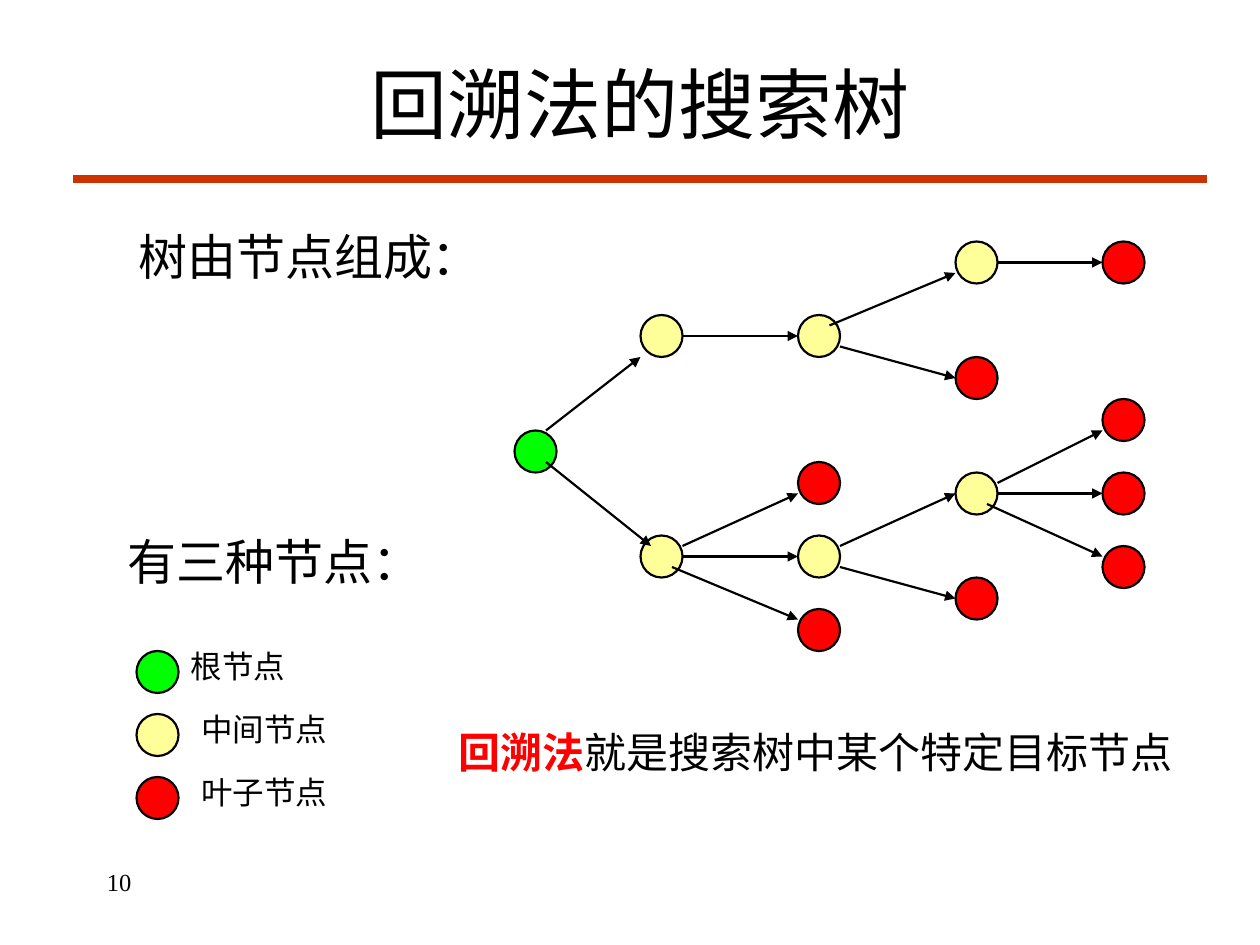
import pptx
import pptx.util
import pptx.dml.color
import pptx.enum.shapes
import pptx.enum.text
import pptx.oxml.ns
import lxml.etree

Cm, Pt = pptx.util.Cm, pptx.util.Pt
FONT = "Times New Roman"
COLORS = {"text": "000000", "rule": "CC3300", "root": "00FF00",
          "middle": "FFFF99", "leaf": "FF0000"}
GRID = 2.54 / 12
NODE_SIZE = 4
NODES = {
    "root": [(49, 41)],
    "middle": [(61, 30), (76, 30), (91, 23), (61, 51), (76, 51), (91, 45)],
    "leaf": [(105, 23), (91, 34), (76, 44), (76, 58), (91, 55),
             (105, 38), (105, 45), (105, 52)],
}
ARROWS = [
    (52, 44, 62, 52), (52, 41, 61, 34), (65, 32, 76, 32), (79, 31, 91, 26),
    (80, 33, 91, 36), (95, 25, 105, 25), (65, 52, 76, 47), (65, 53, 76, 53),
    (64, 54, 76, 59), (80, 52, 91, 47), (80, 54, 91, 57), (95, 46, 105, 41),
    (95, 47, 105, 47), (94, 48, 105, 53),
]
LEGEND = [("root", "根节点", 17, 49), ("middle", "中间节点", 18, 50),
          ("leaf", "叶子节点", 18, 31)]


def rgb(name):
    return pptx.dml.color.RGBColor.from_string(COLORS[name])


def units(*values):
    return [Cm(v * GRID) for v in values]


def style_font(font, size, color="text"):
    font.name = FONT
    font.size = Pt(size)
    font.color.rgb = rgb(color)


def add_title(s, text):
    title = s.shapes.title
    title.left, title.top, title.width, title.height = Cm(2.12), Cm(0.48), Cm(21.59), Cm(3.18)
    tf = title.text_frame
    tf.text = text
    tf.vertical_anchor = pptx.enum.text.MSO_ANCHOR.MIDDLE
    p = tf.paragraphs[0]
    p.alignment = pptx.enum.text.PP_ALIGN.CENTER
    style_font(p.font, 44)


def add_text(shapes, box, text, size):
    tf = shapes.add_textbox(*box).text_frame
    tf.word_wrap = True
    p = tf.paragraphs[0]
    p.add_run().text = text
    style_font(p.font, size)
    return p


def add_node(shapes, kind, x, y):
    sp = shapes.add_shape(pptx.enum.shapes.MSO_SHAPE.OVAL,
                          *units(x, y, NODE_SIZE, NODE_SIZE))
    sp.shadow.inherit = False
    sp.fill.solid()
    sp.fill.fore_color.rgb = rgb(kind)
    sp.line.color.rgb = rgb("text")
    sp.line.width = Pt(1.25)


def add_line(shapes, ends, color, width, arrow=False):
    line = shapes.add_connector(pptx.enum.shapes.MSO_CONNECTOR.STRAIGHT, *ends)
    line.line.color.rgb = rgb(color)
    line.line.width = Pt(width)
    qn = pptx.oxml.ns.qn
    if arrow:
        lxml.etree.SubElement(line.line._get_or_add_ln(), qn("a:tailEnd"), type="triangle")
    lxml.etree.SubElement(line._element.spPr, qn("a:effectLst"))


def add_tree(s):
    shapes = s.shapes.add_group_shape().shapes
    for kind, places in NODES.items():
        for x, y in places:
            add_node(shapes, kind, x, y)
    for ends in ARROWS:
        add_line(shapes, units(*ends), "text", 1.25, arrow=True)


def add_legend(s):
    for i, (kind, label, x, width) in enumerate(LEGEND):
        shapes = s.shapes.add_group_shape().shapes
        y = 62 + 6 * i
        add_node(shapes, kind, 13, y)
        add_text(shapes, units(x, y - 1, width, 4.8), label, 18)


def add_conclusion(s):
    p = add_text(s.shapes, (Cm(9), Cm(14.53), Cm(14.96), Cm(1.27)), "回溯法", 24)
    r = p.runs[0]
    r.font.bold = True
    r.font.color.rgb = rgb("leaf")
    p.add_run().text = "就是搜索树中某个特定目标节点"


def main():
    prs = pptx.Presentation()
    prs.slide_width, prs.slide_height = Cm(25.4), Cm(19.05)
    s = prs.slides.add_slide(prs.slide_layouts[5])
    add_line(s.shapes, (Cm(1.48), Cm(3.6), Cm(24.34), Cm(3.6)), "rule", 4.5)
    add_title(s, "回溯法的搜索树")
    add_text(s.shapes, units(9, 82, 25, 6), "10", 14)
    add_tree(s)
    add_text(s.shapes, units(12, 21, 50, 6.8), "树由节点组成：", 28)
    add_text(s.shapes, units(11, 50, 39, 6.8), "有三种节点：", 28)
    add_legend(s)
    add_conclusion(s)
    prs.save("out.pptx")


if __name__ == "__main__":
    main()
